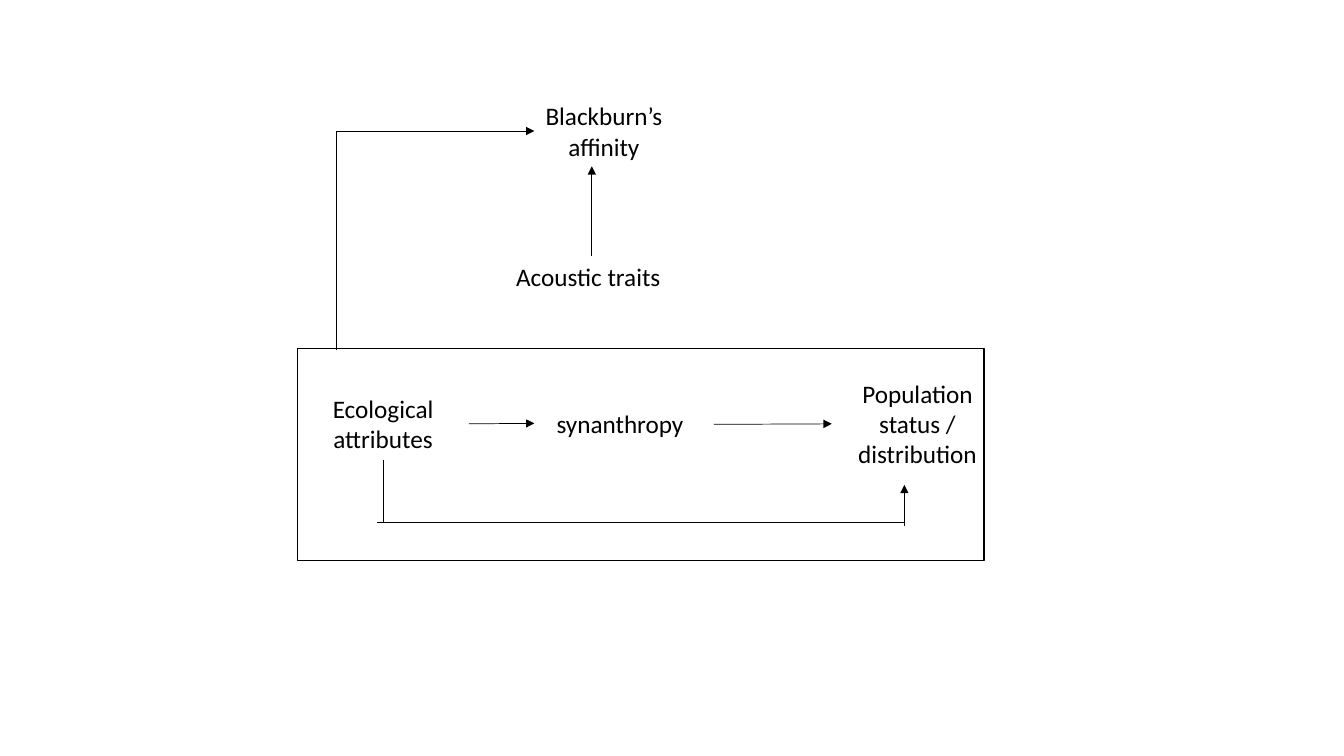
from lxml import etree
from pptx import Presentation
from pptx.dml.color import RGBColor
from pptx.enum.shapes import MSO_CONNECTOR, MSO_SHAPE
from pptx.enum.text import MSO_AUTO_SIZE, PP_ALIGN
from pptx.oxml.ns import qn
from pptx.util import Inches, Pt

COLORS = {"ink": "000000"}
FONT = {"name": "Calibri", "size": Pt(18)}
LABEL_WIDTH = 1.7
TOP, LEFT, BOTTOM, RIGHT = range(4)

# name: (text, left, top, height, alignment)
LABELS = {
    "acoustic": ("Acoustic traits", 5.02, 2.54, 0.4, PP_ALIGN.LEFT),
    "ecological": ("Ecological attributes", 2.95, 3.85, 0.71, PP_ALIGN.CENTER),
    "synanthropy": ("synanthropy", 5.3, 4, 0.4, PP_ALIGN.CENTER),
    "population": ("Population status / distribution", 8.25, 3.7, 1.01, PP_ALIGN.CENTER),
    "affinity": ("Blackburn’s affinity", 5.14, 0.95, 0.71, PP_ALIGN.CENTER),
}

# (start, end, has arrowhead, joined label and side at start, same at end)
LINKS = [
    ((5.87, 2.54), (5.87, 1.65), True, ("acoustic", TOP), None),
    ((4.65, 4.21), (5.3, 4.21), True, ("ecological", RIGHT), ("synanthropy", LEFT)),
    ((7.08, 4.21), (8.25, 4.21), True, None, ("population", LEFT)),
    ((8.97, 5.22), (8.97, 4.81), True, None, None),
    ((8.98, 5.18), (3.74, 5.18), False, None, None),
    ((3.8, 4.56), (3.8, 5.18), False, ("ecological", BOTTOM), None),
    ((3.34, 1.3), (5.3, 1.3), True, None, None),
    ((3.34, 3.47), (3.34, 1.3), False, None, None),
]
FRAME = (2.95, 3.46, 6.81, 2.1)


def ink():
    return RGBColor.from_string(COLORS["ink"])


def add_label(page, text, left, top, height, alignment):
    box = page.shapes.add_textbox(*map(Inches, (left, top, LABEL_WIDTH, height)))
    box.text_frame.word_wrap = True
    box.text_frame.auto_size = MSO_AUTO_SIZE.SHAPE_TO_FIT_TEXT
    para = box.text_frame.paragraphs[0]
    para.alignment = alignment
    span = para.add_run()
    span.text = text
    for key, value in FONT.items():
        setattr(span.font, key, value)
    span.font.color.rgb = ink()
    return box


def add_link(page, boxes, start, end, arrow, start_join, end_join):
    link = page.shapes.add_connector(MSO_CONNECTOR.STRAIGHT, *map(Inches, start + end))
    if start_join:
        link.begin_connect(boxes[start_join[0]], start_join[1])
    if end_join:
        link.end_connect(boxes[end_join[0]], end_join[1])
    link.line.color.rgb = ink()
    link.line.width = Pt(0.5)
    if arrow:
        etree.SubElement(link.line._get_or_add_ln(), qn("a:tailEnd"), type="triangle")
    etree.SubElement(link._element.spPr, qn("a:effectLst"))


def add_frame(page):
    frame = page.shapes.add_shape(MSO_SHAPE.RECTANGLE, *map(Inches, FRAME))
    frame.shadow.inherit = False
    frame.fill.background()
    frame.line.color.rgb = ink()
    frame.line.width = Pt(0.75)


def main():
    deck = Presentation()
    deck.slide_width, deck.slide_height = Inches(13.33), Inches(7.5)
    page = deck.slides.add_slide(deck.slide_layouts[6])
    boxes = {name: add_label(page, *label) for name, label in LABELS.items()}
    for link in LINKS:
        add_link(page, boxes, *link)
    add_frame(page)
    deck.save("out.pptx")


if __name__ == "__main__":
    main()
